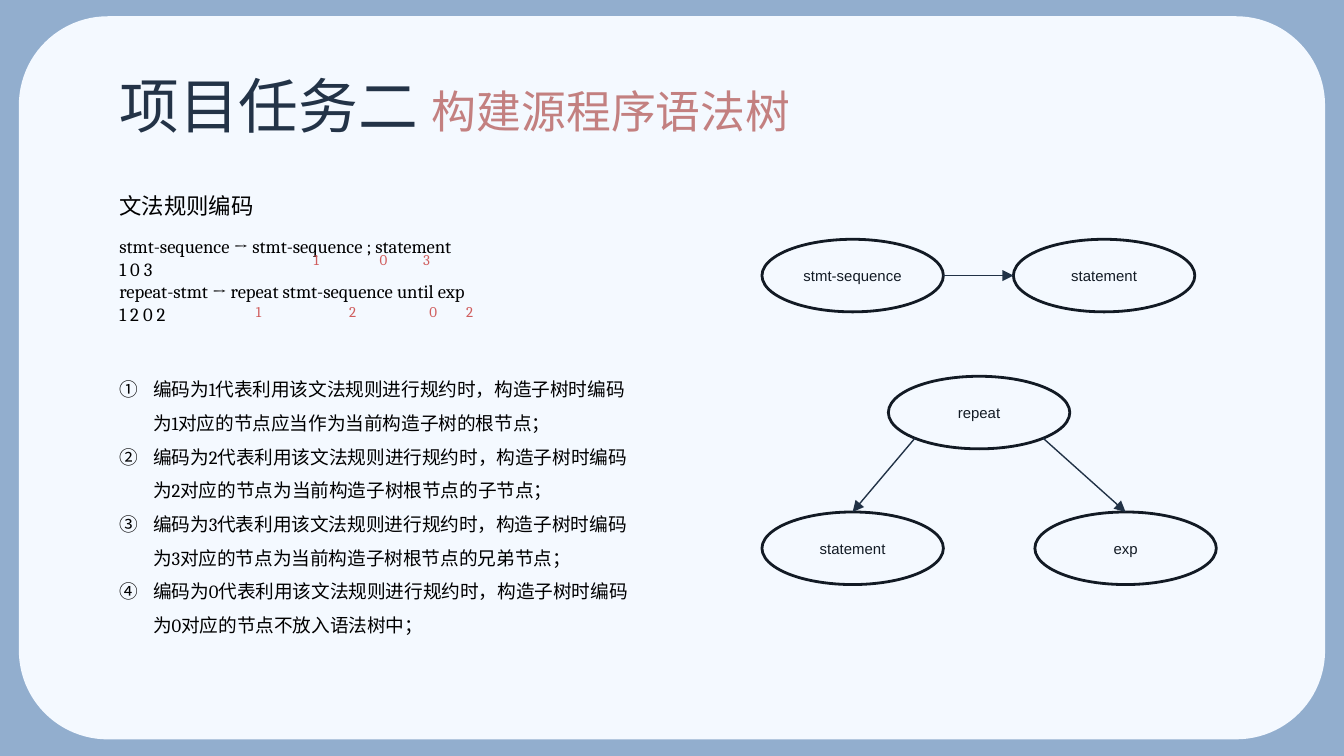
from dataclasses import dataclass

import pptx
import pptx.dml.color
import pptx.enum.shapes
import pptx.enum.text
import pptx.oxml.ns
import pptx.util
from lxml import etree

Pt = pptx.util.Pt
Align = pptx.enum.text.PP_ALIGN
Anchor = pptx.enum.text.MSO_ANCHOR
Shape = pptx.enum.shapes.MSO_SHAPE


@dataclass(frozen=True)
class Theme:
    background: str = "92AECE"
    panel: str = "F4F9FF"
    title: str = "233347"
    subtitle: str = "C38080"
    body: str = "000000"
    code: str = "D05E5E"
    node: str = "121A24"
    arrow: str = "213246"
    title_font: str = "Roboto"
    heading_font: str = "Noto Sans CJK SC"
    body_font: str = "Cambria"
    node_font: str = "Arial"
    title_size: float = 32
    subtitle_size: float = 24
    heading_size: float = 12
    body_size: float = 10
    small_size: float = 8


THEME = Theme()

TITLE, SUBTITLE = "项目任务二 ", "构建源程序语法树"
HEADING = "文法规则编码"
RULES = [
    "stmt-sequence → stmt-sequence ; statement",
    "1 0 3",
    "repeat-stmt → repeat stmt-sequence until exp",
    "1 2 0 2",
]
# Top of each row of codes, then (code, left) pairs
CODE_ROWS = [
    (131, [("1", 159.8), ("0", 195.8), ("3", 218.9)]),
    (158.4, [("1", 128.9), ("2", 179.3), ("0", 222.5), ("2", 241.9)]),
]
MEANINGS = [
    ("1", "应当作为当前构造子树的根节点；"),
    ("2", "为当前构造子树根节点的子节点；"),
    ("3", "为当前构造子树根节点的兄弟节点；"),
    ("0", "不放入语法树中；"),
]
NODE_WIDTH, NODE_HEIGHT = 97.2, 38.9
# Key: (label, left, top)
NODES = {
    "sequence": ("stmt-sequence", 408.2, 128.2),
    "next": ("statement", 542.9, 128.2),
    "repeat": ("repeat", 475.9, 201.6),
    "body": ("statement", 408.2, 274.3),
    "condition": ("exp", 554.4, 274.3),
}
# Position on an ellipse as a share of its width and height
DIAGONAL = 0.5 ** 0.5 / 2
SITES = {
    "top": (0.5, 0),
    "left": (0, 0.5),
    "right": (1, 0.5),
    "lower left": (0.5 - DIAGONAL, 0.5 + DIAGONAL),
    "lower right": (0.5 + DIAGONAL, 0.5 + DIAGONAL),
}
ARROWS = [
    ("sequence", "right", "next", "left"),
    ("repeat", "lower left", "body", "top"),
    ("repeat", "lower right", "condition", "top"),
]
MARGIN_LEFT = 56.9


def rgb(value):
    return pptx.dml.color.RGBColor.from_string(value)


def add_xml(parent, tag, **attributes):
    return etree.SubElement(parent, pptx.oxml.ns.qn(tag), attributes)


def style(font, name, size, color):
    font.name, font.size = name, Pt(size)
    font.color.rgb = rgb(color)


def add_text(slide, box, lines, font, align=Align.LEFT, spacing=None,
             wrap=True, numbered=False):
    """Add a text box; font is a (name, size, colour) tuple."""
    frame = slide.shapes.add_textbox(*map(Pt, box)).text_frame
    frame.word_wrap = wrap
    frame.text = "\n".join(lines)
    for paragraph in frame.paragraphs:
        paragraph.alignment = align
        if spacing:
            paragraph.line_spacing = spacing
        if numbered:
            properties = paragraph._p.get_or_add_pPr()
            properties.set("marL", str(Pt(18)))
            properties.set("indent", str(-Pt(18)))
            add_xml(properties, "a:buFont", typeface="+mj-ea")
            add_xml(properties, "a:buAutoNum", type="circleNumDbPlain")
        style(paragraph.font, *font)


def add_title(slide):
    frame = slide.shapes.add_textbox(*map(Pt, (MARGIN_LEFT, 29.5, 607, 52.6))).text_frame
    frame.word_wrap = True
    frame.vertical_anchor = Anchor.MIDDLE
    for text, size, color in [
        (TITLE, THEME.title_size, THEME.title),
        (SUBTITLE, THEME.subtitle_size, THEME.subtitle),
    ]:
        run = frame.paragraphs[0].add_run()
        run.text = text
        style(run.font, THEME.title_font, size, color)


def add_node(slide, label, left, top):
    shape = slide.shapes.add_shape(
        Shape.OVAL, Pt(left), Pt(top), Pt(NODE_WIDTH), Pt(NODE_HEIGHT))
    shape.shadow.inherit = False
    shape.fill.background()
    shape.line.color.rgb = rgb(THEME.node)
    shape.line.width = Pt(1.5)
    frame = shape.text_frame
    frame.text = label
    frame.vertical_anchor = Anchor.MIDDLE
    paragraph = frame.paragraphs[0]
    paragraph.alignment = Align.CENTER
    style(paragraph.font, THEME.node_font, THEME.small_size, THEME.node)


def site_point(node, site):
    _, left, top = NODES[node]
    across, down = SITES[site]
    return Pt(left + across * NODE_WIDTH), Pt(top + down * NODE_HEIGHT)


def add_arrow(slide, start, start_site, end, end_site):
    connector = slide.shapes.add_connector(
        pptx.enum.shapes.MSO_CONNECTOR.STRAIGHT,
        *site_point(start, start_site), *site_point(end, end_site))
    connector.line.color.rgb = rgb(THEME.arrow)
    connector.line.width = Pt(0.75)
    add_xml(connector.line._get_or_add_ln(), "a:tailEnd", type="triangle")
    add_xml(connector._element.spPr, "a:effectLst")


def main():
    presentation = pptx.Presentation()
    presentation.slide_width, presentation.slide_height = Pt(720), Pt(405)
    slide = presentation.slides.add_slide(presentation.slide_layouts[6])
    slide.background.fill.solid()
    slide.background.fill.fore_color.rgb = rgb(THEME.background)

    panel = slide.shapes.add_shape(
        Shape.ROUNDED_RECTANGLE, Pt(10.1), Pt(8.7), Pt(699.8), Pt(387.4))
    panel.adjustments[0] = 0.123
    panel.shadow.inherit = False
    panel.fill.solid()
    panel.fill.fore_color.rgb = rgb(THEME.panel)
    panel.line.fill.background()

    add_title(slide)
    add_text(slide, (MARGIN_LEFT, 92.2, 94.3, 25.9), [HEADING],
             (THEME.heading_font, THEME.heading_size, THEME.body),
             Align.JUSTIFY, spacing=1.5)
    body_font = (THEME.body_font, THEME.body_size, THEME.body)
    add_text(slide, (MARGIN_LEFT, 122.4, 211.7, 55.4), RULES, body_font, wrap=False)
    code_font = (THEME.body_font, THEME.small_size, THEME.code)
    for top, codes in CODE_ROWS:
        for code, left in codes:
            add_text(slide, (left, top, 19.4, 17.3), [code], code_font, Align.CENTER)
    meanings = [
        f"编码为{code}代表利用该文法规则进行规约时，构造子树时编码为{code}对应的节点{role}"
        for code, role in MEANINGS
    ]
    add_text(slide, (MARGIN_LEFT, 193, 293.8, 150.5), meanings, body_font,
             spacing=1.5, numbered=True)

    for node in NODES.values():
        add_node(slide, *node)
    for arrow in ARROWS:
        add_arrow(slide, *arrow)
    presentation.save("out.pptx")


if __name__ == "__main__":
    main()
